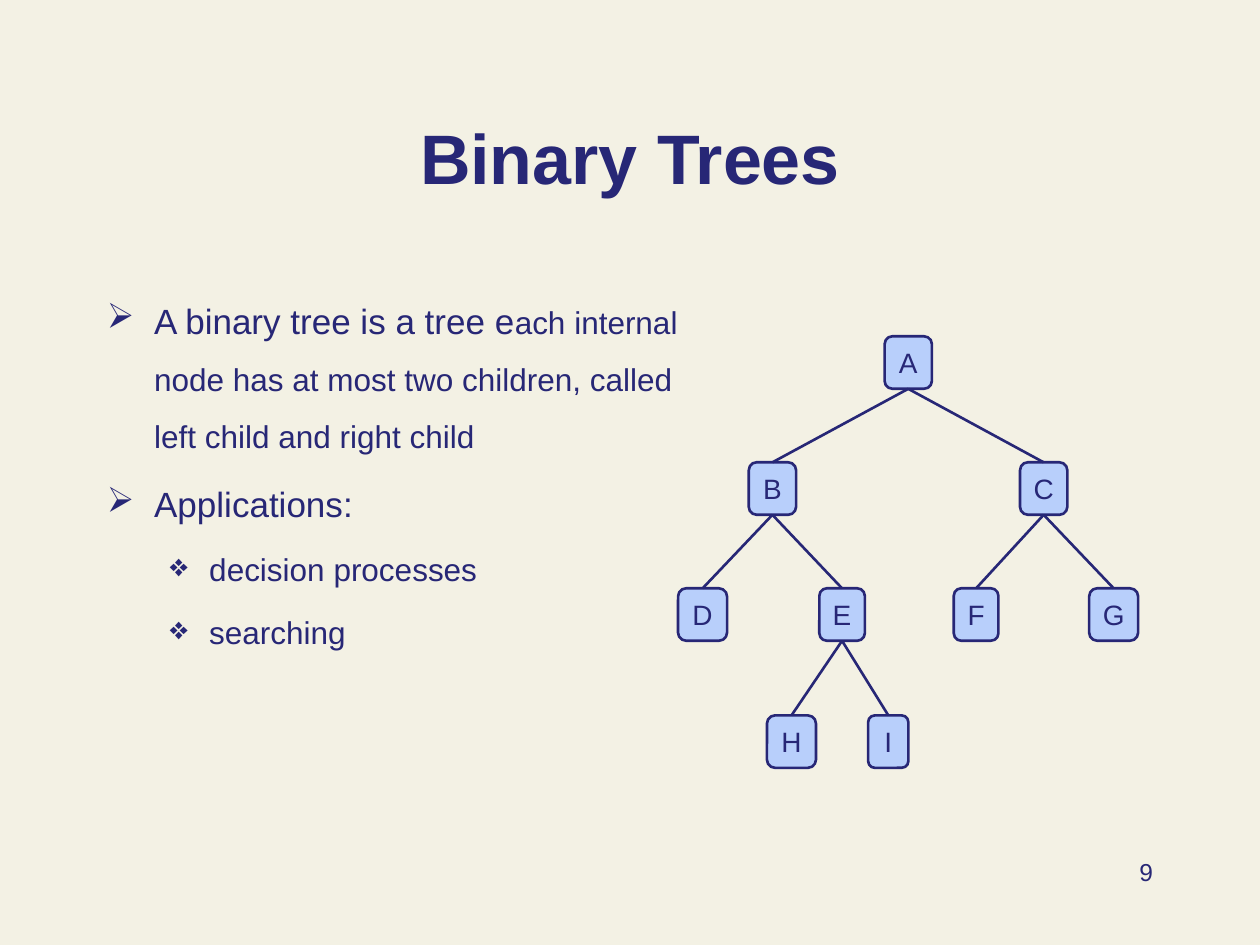
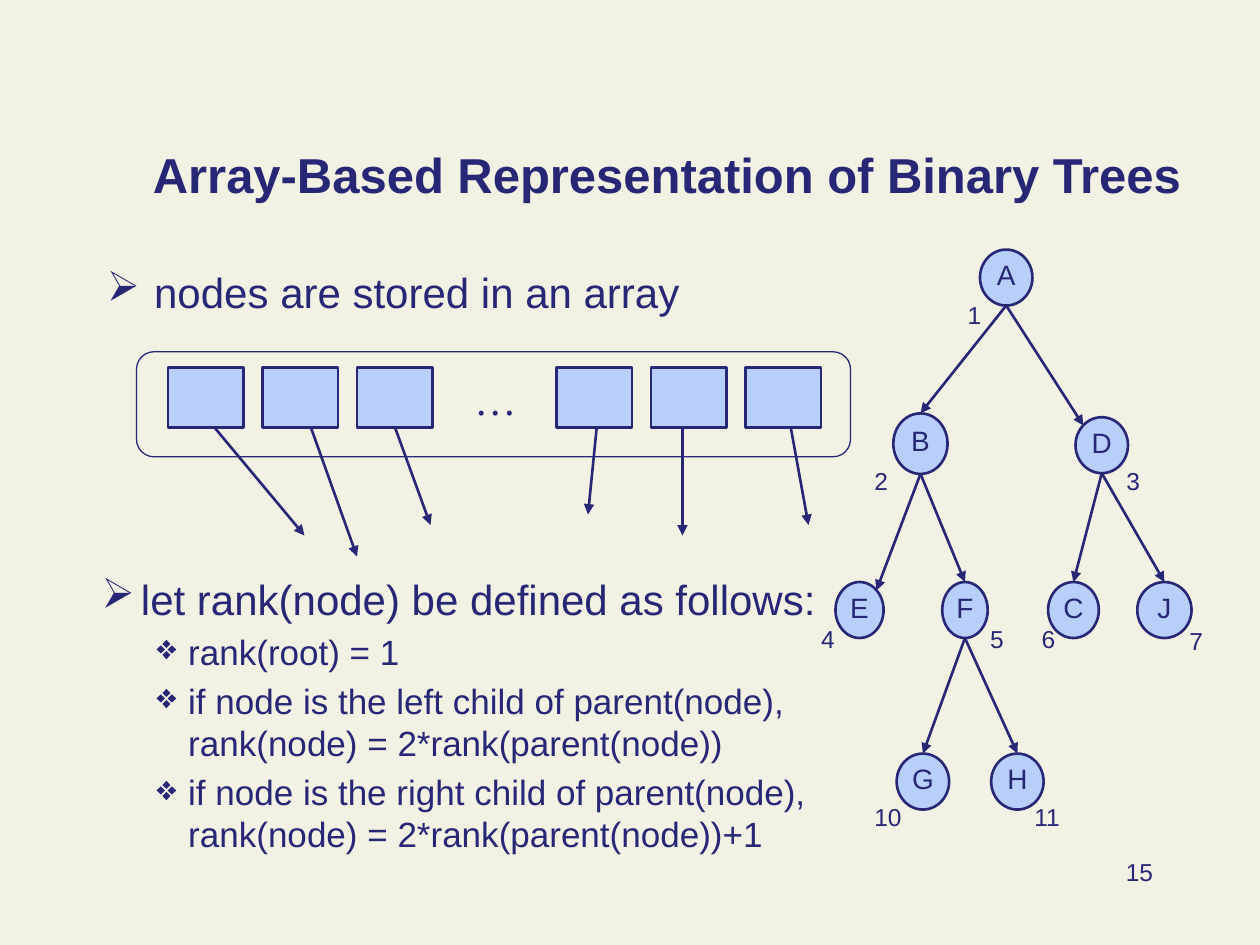
from dataclasses import dataclass

from lxml.etree import SubElement
from pptx import Presentation
from pptx.dml.color import RGBColor as Color
from pptx.enum.shapes import MSO_CONNECTOR as Connector, MSO_SHAPE as Shape
from pptx.enum.text import MSO_ANCHOR as Anchor, PP_ALIGN as Align
from pptx.oxml.ns import qn
from pptx.util import Pt


@dataclass(frozen=True)
class Theme:
    ink: str = "272776"
    paper: str = "F3F1E4"
    node: str = "B8CFFB"
    font: str = "Arial"
    symbol_font: str = "Times New Roman"
    heading: int = 40
    long_heading: int = 28
    large: int = 24
    medium: int = 20
    small: int = 18
    letter: int = 16
    caption: int = 14
    line: float = 1.5
    thin_line: float = 0.75
    bullets: tuple = ("➢", "❖")


class Deck:
    """Draws styled elements on the current slide, with lengths in points."""

    def __init__(self, theme):
        self.theme = theme
        self.presentation = Presentation()
        self.presentation.slide_width = Pt(720)
        self.presentation.slide_height = Pt(540)
        fill = self.presentation.slide_master.background.fill
        fill.solid()
        fill.fore_color.rgb = Color.from_string(theme.paper)

    def new_slide(self, number):
        self.slide = self.presentation.slides.add_slide(self.presentation.slide_layouts[6])
        self.end_group()
        self.number = number

    def start_group(self):
        self.shapes = self.slide.shapes.add_group_shape().shapes

    def end_group(self):
        self.shapes = self.slide.shapes

    def style(self, font, size, name=None):
        font.size = Pt(size)
        font.name = name or self.theme.font
        font.color.rgb = Color.from_string(self.theme.ink)

    def frame(self, box, anchor=Anchor.TOP):
        frame = self.shapes.add_textbox(*map(Pt, box)).text_frame
        frame.word_wrap = True
        frame.vertical_anchor = anchor
        return frame

    def text(self, text, box, size, align=Align.LEFT, anchor=Anchor.TOP, bold=False, font=None):
        paragraph = self.frame(box, anchor).paragraphs[0]
        paragraph.text = text
        paragraph.alignment = align
        self.style(paragraph.font, size, font)
        paragraph.font.bold = bold

    def title(self, text, box, size):
        self.text(text, box, size, Align.CENTER, Anchor.BOTTOM, True)

    def page_number(self):
        self.text(str(self.number), (516, 486, 150, 36), self.theme.caption, Align.RIGHT)

    def bullet_list(self, items, box, sizes, indents, spacing=1.0):
        frame = self.frame(box)
        for index, (level, *texts) in enumerate(items):
            paragraph = frame.add_paragraph() if index else frame.paragraphs[0]
            paragraph.level = level
            paragraph.line_spacing = spacing
            paragraph.space_before = Pt(0.2 * sizes[level] if index else 0)
            self.style(paragraph.font, sizes[level])
            for text in texts:
                paragraph.add_run().text = text
            for run in paragraph.runs[1:]:
                run.font.size = Pt(self.theme.small)
            self.bullet(paragraph, self.theme.bullets[level], *indents[level])

    def bullet(self, paragraph, character, margin, hanging):
        properties = paragraph._p.get_or_add_pPr()
        properties.set("marL", str(Pt(margin)))
        properties.set("indent", str(-Pt(hanging)))
        color = SubElement(properties, qn("a:buClr"))
        SubElement(color, qn("a:srgbClr"), val=self.theme.ink)
        SubElement(properties, qn("a:buChar"), char=character)
        default_run = properties.find(qn("a:defRPr"))
        if default_run is not None:
            properties.append(default_run)

    def box(self, kind, box, filled=True):
        shape = self.shapes.add_shape(kind, *map(Pt, box))
        shape.shadow.inherit = False
        shape.line.color.rgb = Color.from_string(self.theme.ink)
        shape.line.width = Pt(self.theme.line if filled else self.theme.thin_line)
        if filled:
            shape.fill.solid()
            shape.fill.fore_color.rgb = Color.from_string(self.theme.node)
        else:
            shape.fill.background()
        return shape

    def node(self, kind, letter, center, top, width, height, lift=0):
        shape = self.box(kind, (center - width / 2, top, width, height))
        frame = shape.text_frame
        frame.word_wrap = False
        frame.vertical_anchor = Anchor.MIDDLE
        frame.margin_left = frame.margin_right = frame.margin_top = 0
        frame.margin_bottom = Pt(lift)
        paragraph = frame.paragraphs[0]
        paragraph.text = letter
        paragraph.alignment = Align.CENTER
        self.style(paragraph.font, self.theme.letter)
        return shape

    def line(self, start=(0, 0), end=(0, 0), arrow=False):
        connector = self.shapes.add_connector(Connector.STRAIGHT, *map(Pt, (*start, *end)))
        connector.line.color.rgb = Color.from_string(self.theme.ink)
        connector.line.width = Pt(self.theme.line)
        if arrow:
            SubElement(connector.line._get_or_add_ln(), qn("a:tailEnd"), type="triangle")
        SubElement(connector._element.spPr, qn("a:effectLst"))
        return connector

    def join(self, parent, child):
        connector = self.line()
        connector.begin_connect(parent, 2)
        connector.end_connect(child, 0)


def binary_trees(deck):
    theme = deck.theme
    deck.new_slide(9)
    deck.title("Binary Trees", (54, 39, 612, 78), theme.heading)
    deck.bullet_list(
        [
            (0, "A binary tree is a tree e",
             "ach internal node has at most two children, called left child and right child"),
            (0, "Applications:"),
            (1, "decision processes"),
            (1, "searching"),
        ],
        (54, 155.5, 366, 148), (theme.medium, theme.small), ((27, 27), (58.5, 22.5)), 1.5)
    level_tops = (192.2, 264.2, 336.2, 408.8)
    tree = {
        "A": (0, 519, 27), "B": (1, 441.4, 27), "C": (1, 596.4, 27),
        "D": (2, 401.5, 28), "E": (2, 481.2, 26), "F": (2, 557.8, 25.5),
        "G": (2, 636.4, 28), "H": (3, 452.3, 28), "I": (3, 507.6, 23),
    }
    nodes = {
        letter: deck.node(Shape.ROUNDED_RECTANGLE, letter, center, level_tops[level], width, 30)
        for letter, (level, center, width) in tree.items()
    }
    for parent, child in ("AB", "AC", "BD", "BE", "CF", "CG", "EH", "EI"):
        deck.join(nodes[parent], nodes[child])
    deck.page_number()


def array_storage(deck):
    deck.start_group()
    arrows = (
        (114, 174, 306), (174, 204, 318), (222, 246, 300),
        (342, 336, 294), (390, 390, 306), (450, 462, 300),
    )
    for start, end, bottom in arrows:
        deck.line((start, 234), (end, bottom), True)
    deck.box(Shape.ROUNDED_RECTANGLE, (78, 201, 408, 60), False)
    for first_cell in (96, 318):
        for index in range(3):
            deck.box(Shape.RECTANGLE, (first_cell + 54 * index, 210, 43.2, 34.5))
    deck.text("…", (264, 210, 38, 36), deck.theme.large, font=deck.theme.symbol_font)
    deck.end_group()


def ranked_tree(deck):
    ranks = {
        "1": (545.8, 167.8), "2": (492.5, 262.8), "3": (636.5, 262.8),
        "6": (588.2, 352.8), "7": (672.5, 354.2), "4": (462.2, 352.8),
        "5": (558.7, 352.8), "10": (492.5, 455), "11": (584, 455),
    }
    for rank, (left, top) in ranks.items():
        deck.text(rank, (left, top, 16 + 8 * len(rank), 24.5), deck.theme.caption)
    tree = {
        "A": (575, 142.6, 30, 32), "B": (526, 236.2, 31, 34.6), "D": (629.6, 238.4, 30, 32),
        "E": (491.2, 332.6, 27.5, 32), "F": (551.4, 332.6, 26, 32), "C": (613.4, 332.6, 29, 32),
        "J": (665.4, 332.6, 31, 32), "G": (527.4, 430.6, 30, 32), "H": (581.4, 430.6, 30, 32),
    }
    upper_corners = {"D": -1, "E": 1}
    deck.start_group()
    for letter, place in tree.items():
        deck.node(Shape.OVAL, letter, *place, lift=3.6)
    for parent, child in ("AB", "AD", "BE", "BF", "DC", "DJ", "FG", "FH"):
        center, top, _, height = tree[parent]
        child_center, child_top, child_width, child_height = tree[child]
        side = upper_corners.get(child, 0)
        end = (child_center + side * 0.35 * child_width,
               child_top + abs(side) * 0.15 * child_height)
        deck.line((center, top + height), end, True)
    deck.end_group()


def array_representation(deck):
    theme = deck.theme
    deck.new_slide(15)
    deck.title("Array-Based Representation of Binary Trees", (60, 0, 642, 120),
               theme.long_heading)
    sizes = (theme.large, theme.medium)
    deck.bullet_list([(0, "nodes are stored in an array")], (54, 148.5, 414, 48),
                     sizes, ((27, 27),))
    array_storage(deck)
    deck.bullet_list(
        [
            (0, "let rank(node) be defined as follows:"),
            (1, "rank(root) = 1"),
            (1, "if node is the left child of parent(node), \trank(node) = 2*rank(parent(node))"),
            (1, "if node is the right child of parent(node), \trank(node) = 2*rank(parent(node))+1"),
        ],
        (51, 324, 474, 168), sizes, ((22.5, 22.5), (49.5, 18)))
    ranked_tree(deck)
    deck.page_number()


def main():
    deck = Deck(Theme())
    binary_trees(deck)
    array_representation(deck)
    deck.presentation.save("out.pptx")


if __name__ == "__main__":
    main()
